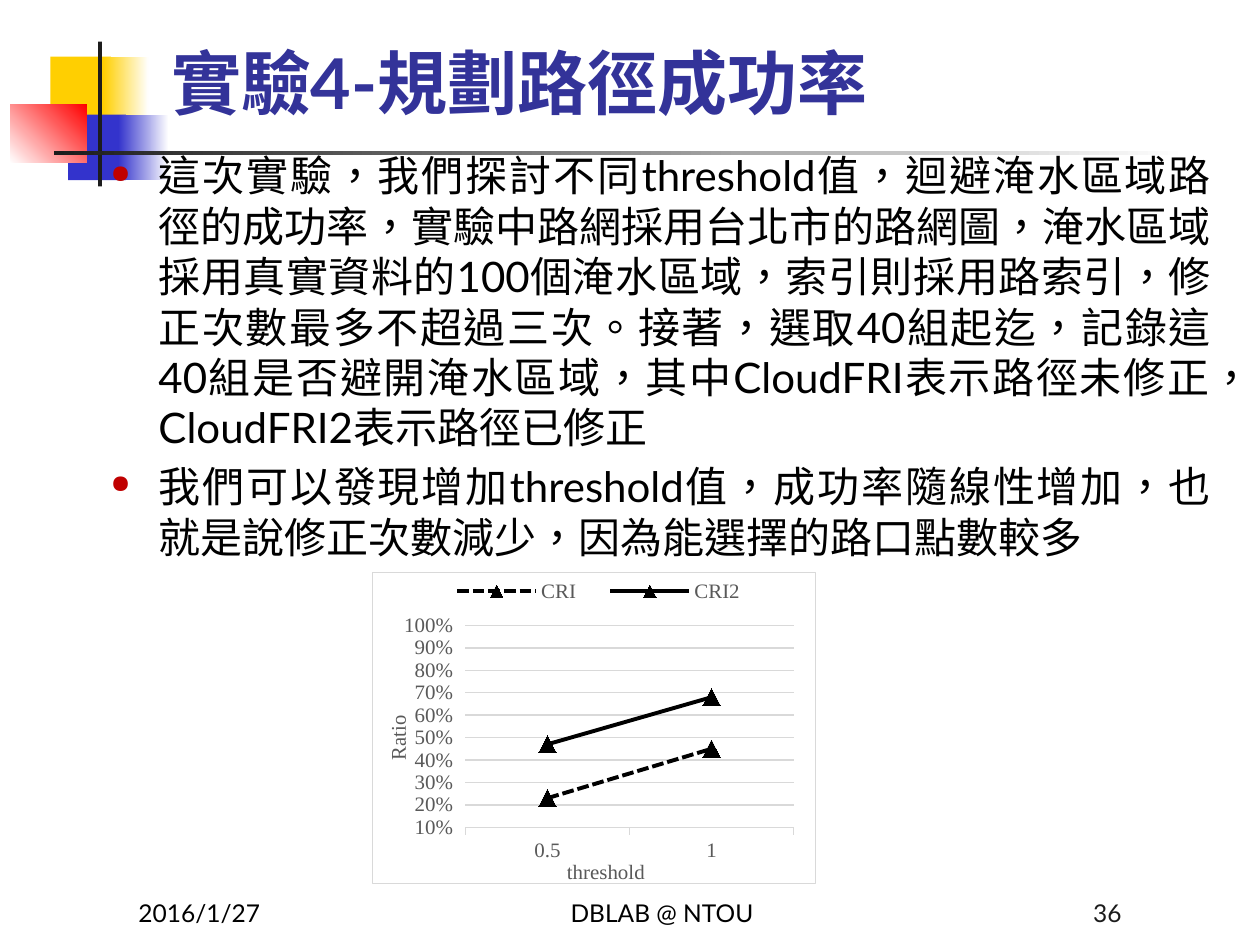
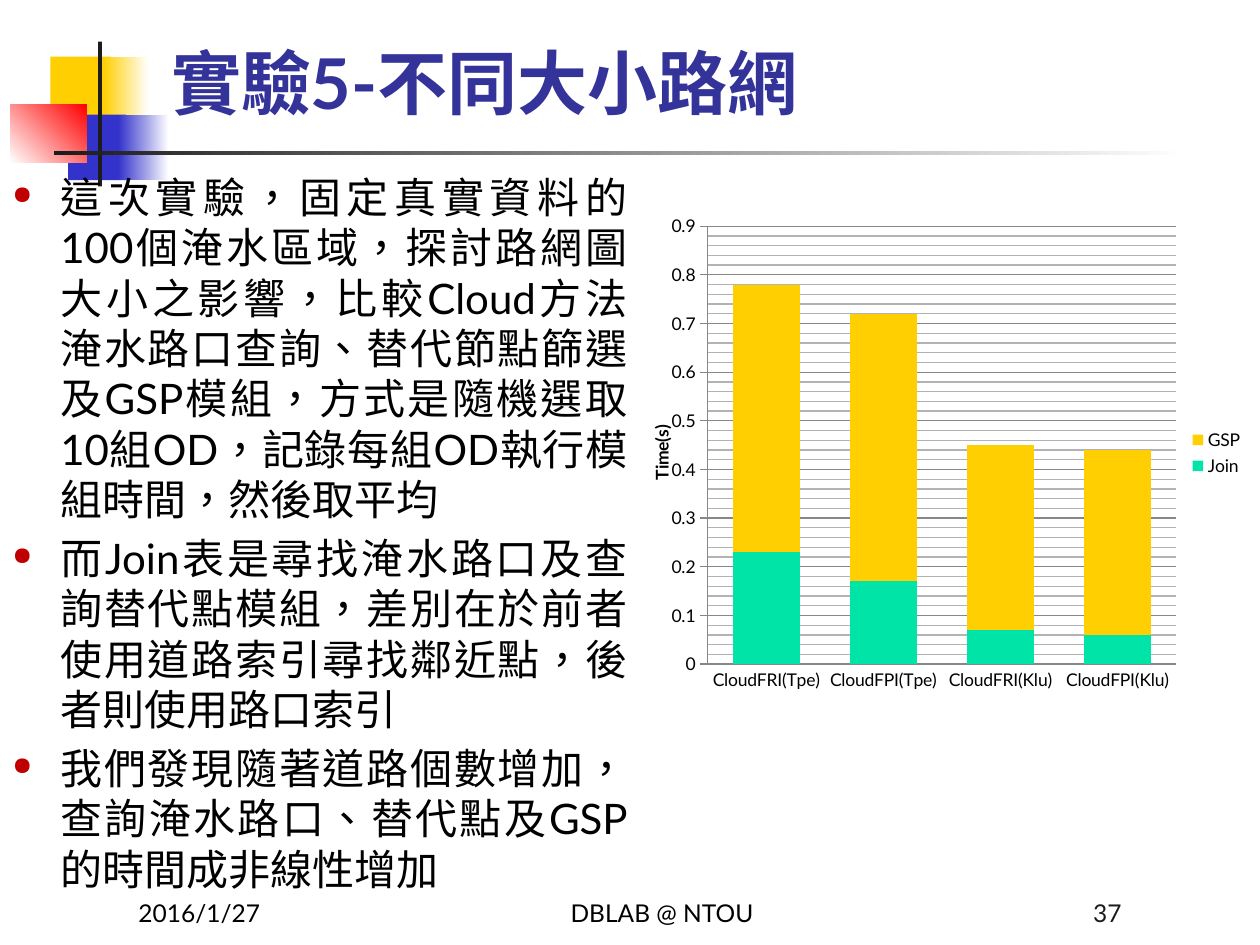
from lxml.etree import SubElement
from pptx import Presentation
from pptx.chart.data import CategoryChartData
from pptx.dml.color import RGBColor
from pptx.enum.chart import XL_CHART_TYPE, XL_LEGEND_POSITION, XL_MARKER_STYLE, XL_TICK_MARK
from pptx.enum.dml import MSO_LINE
from pptx.enum.shapes import MSO_SHAPE
from pptx.enum.text import MSO_ANCHOR, PP_ALIGN
from pptx.oxml import parse_xml
from pptx.oxml.ns import nsdecls, qn
from pptx.util import Inches, Pt


def color(value):
    return RGBColor.from_string(value)


def set_layout(parent, box, inner=False):
    for old_layout in parent.findall(qn("c:layout")):
        parent.remove(old_layout)
    layout = parent.makeelement(qn("c:layout"))
    manual = SubElement(layout, qn("c:manualLayout"))
    if inner:
        SubElement(manual, qn("c:layoutTarget")).set("val", "inner")
    for name in ("xMode", "yMode"):
        SubElement(manual, qn("c:" + name)).set("val", "edge")
    for name, value in zip("xywh", box):
        SubElement(manual, qn("c:" + name)).set("val", str(value))
    for name in ("c:tx", "c:legendPos"):
        before = parent.find(qn(name))
        if before is not None:
            before.addnext(layout)
            return
    parent.insert(0, layout)


FONT = "Lato"
BLACK, INK, GREY, PALE = "000000", "1C1C1C", "595959", "D9D9D9"
YELLOW, BLUE, RED, WHITE = "FFCF01", "3333CC", "FF0000", "FFFFFF"
TITLE_COLOR, BULLET_COLOR = "333399", "C00000"

DECORATION = [
    (0.4, 0.45, 0.48, 0.52, [YELLOW], 0),
    (0.82, 0.45, 0.36, 0.52, [YELLOW, WHITE], 0),
    (0.54, 0.91, 0.46, 0.52, [BLUE], 0),
    (0.94, 0.91, 0.4, 0.52, [BLUE, WHITE], 0),
    (0.08, 0.83, 0.61, 0.46, [WHITE, RED], 45),
    (0.78, 0.33, 0.03, 1.15, [INK], 0),
    (0.43, 1.2, 9, 0.03, [INK, WHITE], 0),
]

SLIDES = [
    ("實驗4-規劃路徑成功率", "36", (0.78, 1.14, 8.93, 5.42), [
        "這次實驗，我們探討不同threshold值，迴避淹水區域路徑的成功率，實驗中路網採用台北市的路網圖，"
        "淹水區域採用真實資料的100個淹水區域，索引則採用路索引，修正次數最多不超過三次。接著，"
        "選取40組起迄，記錄這40組是否避開淹水區域，其中CloudFRI表示路徑未修正，CloudFRI2表示路徑已修正",
        "我們可以發現增加threshold值，成功率隨線性增加，也就是說修正次數減少，因為能選擇的路口點數較多",
    ]),
    ("實驗5-不同大小路網", "37", (0, 1.31, 5.08, 4.25), [
        "這次實驗，固定真實資料的100個淹水區域，探討路網圖大小之影響，比較Cloud方法淹水路口查詢、"
        "替代節點篩選及GSP模組，方式是隨機選取10組OD，記錄每組OD執行模組時間，然後取平均",
        "而Join表是尋找淹水路口及查詢替代點模組，差別在於前者使用道路索引尋找鄰近點，後者則使用路口索引",
        "我們發現隨著道路個數增加，查詢淹水路口、替代點及GSP的時間成非線性增加",
    ]),
]

presentation = Presentation()
presentation.slide_width = Inches(10)
presentation.slide_height = Inches(7.5)
slides = []

for title, number, body_box, body in SLIDES:
    slide = presentation.slides.add_slide(presentation.slide_layouts[6])
    slides.append(slide)
    for left, top, width, height, colors, angle in DECORATION:
        shape = slide.shapes.add_shape(
            MSO_SHAPE.RECTANGLE, Inches(left), Inches(top), Inches(width), Inches(height))
        shape.shadow.inherit = False
        shape.line.fill.background()
        if len(colors) == 1:
            shape.fill.solid()
            shape.fill.fore_color.rgb = color(colors[0])
        else:
            shape.fill.gradient()
            shape.fill.gradient_angle = angle
            for stop, stop_color in zip(shape.fill.gradient_stops, colors):
                stop.color.rgb = color(stop_color)

    bottom, top_anchor = MSO_ANCHOR.BOTTOM, MSO_ANCHOR.TOP
    texts = [
        ((1.26, 0.17, 8.52, 0.86), [title], 40, TITLE_COLOR, PP_ALIGN.LEFT, bottom),
        (body_box, body, 24, BLACK, PP_ALIGN.JUSTIFY, top_anchor),
        ((1, 6.91, 2.08, 0.5), ["2016/1/27"], 14, BLACK, PP_ALIGN.LEFT, bottom),
        ((3.67, 6.91, 3.17, 0.5), ["DBLAB @ NTOU"], 14, BLACK, PP_ALIGN.CENTER, bottom),
        ((6.92, 6.91, 2.08, 0.5), [number], 14, INK, PP_ALIGN.RIGHT, bottom),
    ]
    for box, lines, size, text_color, alignment, anchor in texts:
        text_frame = slide.shapes.add_textbox(*map(Inches, box)).text_frame
        text_frame.word_wrap = True
        text_frame.vertical_anchor = anchor
        text_frame.text = "\n".join(lines)
        for index, paragraph in enumerate(text_frame.paragraphs):
            paragraph.alignment = alignment
            if lines is body:
                properties = paragraph._p.get_or_add_pPr()
                properties.set("marL", str(Inches(0.38)))
                properties.set("indent", str(Inches(-0.38)))
                bullet_color = SubElement(properties, qn("a:buClr"))
                SubElement(bullet_color, qn("a:srgbClr")).set("val", BULLET_COLOR)
                SubElement(properties, qn("a:buSzPct")).set("val", "60000")
                SubElement(properties, qn("a:buChar")).set("char", "●")
                if index:
                    paragraph.space_before = Pt(4.8)
            for run in paragraph.runs:
                run.font.name = FONT
                run.font.size = Pt(size)
                run.font.bold = lines == [title]
                run.font.color.rgb = color(text_color)
                run_properties = run._r.get_or_add_rPr()
                run_properties.set("lang", "zh-TW")
                SubElement(run_properties, qn("a:ea")).set("typeface", FONT)

ratio_data = CategoryChartData(number_format="0%")
ratio_data.categories = ["0.5", "1"]
ratio_data.add_series("CRI", (0.23, 0.45))
ratio_data.add_series("CRI2", (0.47, 0.68))
time_data = CategoryChartData()
time_data.categories = ["CloudFRI(Tpe)", "CloudFPI(Tpe)", "CloudFRI(Klu)", "CloudFPI(Klu)"]
time_data.add_series("Join", (0.23, 0.17, 0.07, 0.06))
time_data.add_series("GSP", (0.55, 0.55, 0.38, 0.38))

ratio_chart = slides[0].shapes.add_chart(
    XL_CHART_TYPE.LINE_MARKERS, Inches(2.95), Inches(4.54), Inches(3.53), Inches(2.52),
    ratio_data).chart
time_chart = slides[1].shapes.add_chart(
    XL_CHART_TYPE.COLUMN_STACKED, Inches(5.08), Inches(1.55), Inches(4.89), Inches(4.09),
    time_data).chart

CHARTS = [
    (ratio_chart, "Times New Roman", 12, GREY, PALE, XL_LEGEND_POSITION.BOTTOM,
     (0.21, 0.17, 0.74, 0.65), 0.1, 1, "0%"),
    (time_chart, FONT, 10, BLACK, "878787", XL_LEGEND_POSITION.RIGHT,
     (0.11, 0.06, 0.76, 0.85), 0, 0.9, "General"),
]
for chart, font, size, text_color, line_color, legend, plot_box, low, high, number_format in CHARTS:
    chart.has_title = False
    chart.font.name = font
    chart.font.size = Pt(size)
    chart.font.color.rgb = color(text_color)
    chart.has_legend = True
    chart.legend.position = legend
    chart.legend.include_in_layout = False
    chart.plots[0].vary_by_categories = False
    values = chart.value_axis
    values.minimum_scale, values.maximum_scale, values.major_unit = low, high, 0.1
    values.tick_labels.number_format = number_format
    values.tick_labels.number_format_is_linked = False
    values.major_tick_mark = XL_TICK_MARK.OUTSIDE
    values.has_major_gridlines = True
    for line in (values.major_gridlines.format.line, values.format.line,
                 chart.category_axis.format.line):
        line.color.rgb = color(line_color)
        line.width = Pt(0.75)
    set_layout(chart.element.find(".//" + qn("c:plotArea")), plot_box, inner=True)

AXIS_TITLES = [
    (ratio_chart, ratio_chart.category_axis, "threshold", (0.43, 0.91), False),
    (ratio_chart, ratio_chart.value_axis, "Ratio", (0.02, 0.45), False),
    (time_chart, time_chart.value_axis, "Time(s)", (0.01, 0.44), True),
]
for chart, axis, text, position, bold in AXIS_TITLES:
    axis_title = axis.axis_title
    axis_title.text_frame.text = text
    run_font = axis_title.text_frame.paragraphs[0].runs[0].font
    run_font.name = chart.font.name
    run_font.size = chart.font.size
    run_font.bold = bold
    run_font.color.rgb = chart.font.color.rgb
    set_layout(axis_title.element, position)

ratio_chart.value_axis.format.line.fill.background()
ratio_chart.category_axis.major_tick_mark = XL_TICK_MARK.OUTSIDE
set_layout(ratio_chart.element.find(".//" + qn("c:legend")), (0.13, 0.01, 0.76, 0.1))
ratio_chart.element.find(qn("c:chart")).addnext(parse_xml(
    f'<c:spPr {nsdecls("c", "a")}><a:solidFill><a:srgbClr val="{WHITE}"/></a:solidFill>'
    f'<a:ln w="9525"><a:solidFill><a:srgbClr val="{PALE}"/></a:solidFill></a:ln></c:spPr>'))
for series, dash in zip(ratio_chart.plots[0].series, (MSO_LINE.SQUARE_DOT, MSO_LINE.SOLID)):
    series.smooth = False
    series.format.line.color.rgb = color(BLACK)
    series.format.line.width = Pt(2.25)
    series.format.line.dash_style = dash
    series.marker.style = XL_MARKER_STYLE.TRIANGLE
    series.marker.size = 10
    series.marker.format.fill.solid()
    series.marker.format.fill.fore_color.rgb = color(BLACK)
    series.marker.format.line.color.rgb = color(BLACK)

time_chart.category_axis.major_tick_mark = XL_TICK_MARK.NONE
time_chart.value_axis.has_minor_gridlines = True
time_chart.value_axis.minor_unit = 0.02
time_chart.element.find(".//" + qn("c:minorGridlines")).append(parse_xml(
    f'<c:spPr {nsdecls("c", "a")}><a:ln w="9525"><a:solidFill>'
    f'<a:srgbClr val="B3B3B3"/></a:solidFill></a:ln></c:spPr>'))
time_chart.plots[0].gap_width = 75
time_chart.plots[0].overlap = 100
for series, fill_color in zip(time_chart.plots[0].series, ("00E4A8", YELLOW)):
    series.format.fill.solid()
    series.format.fill.fore_color.rgb = color(fill_color)

presentation.save("out.pptx")
